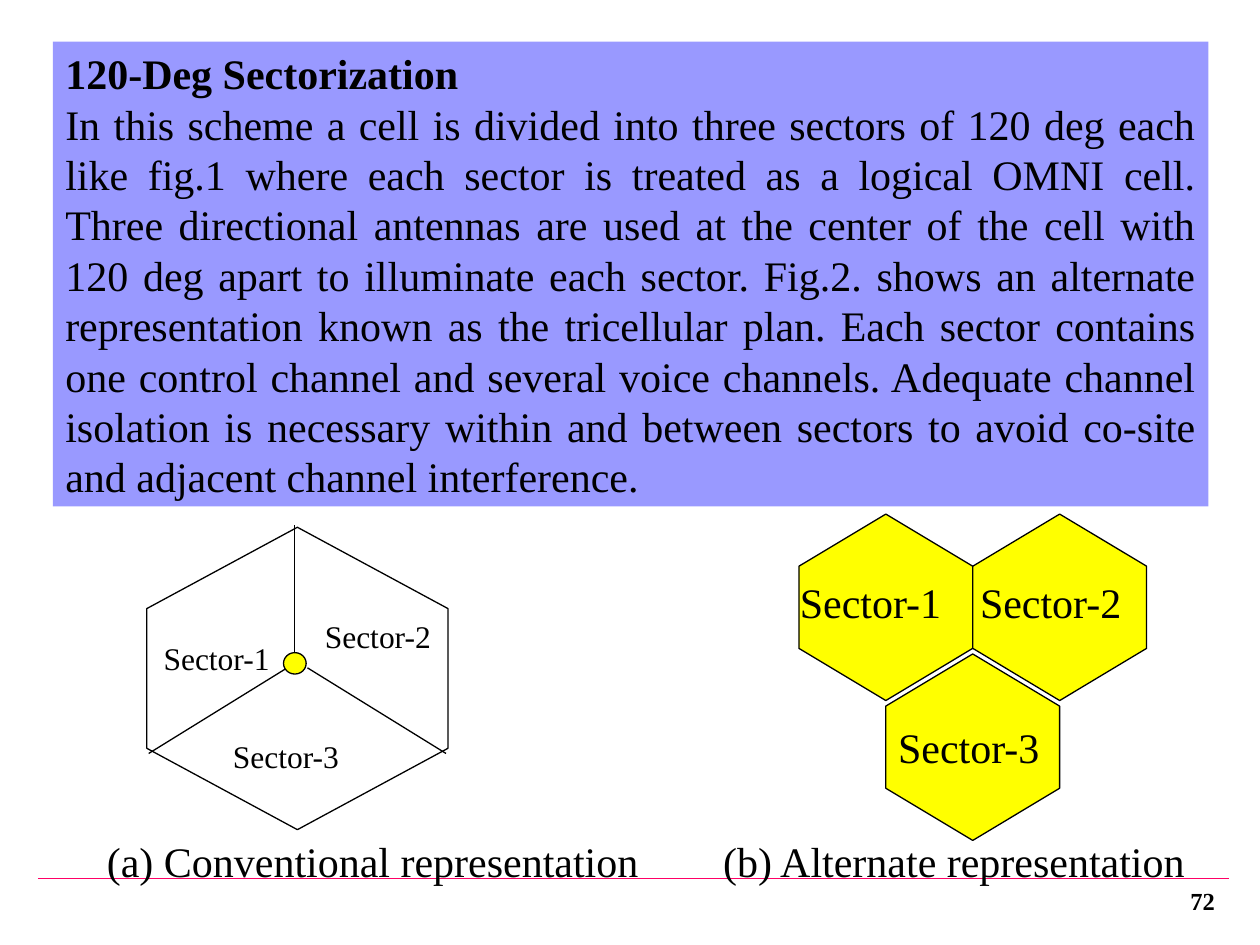
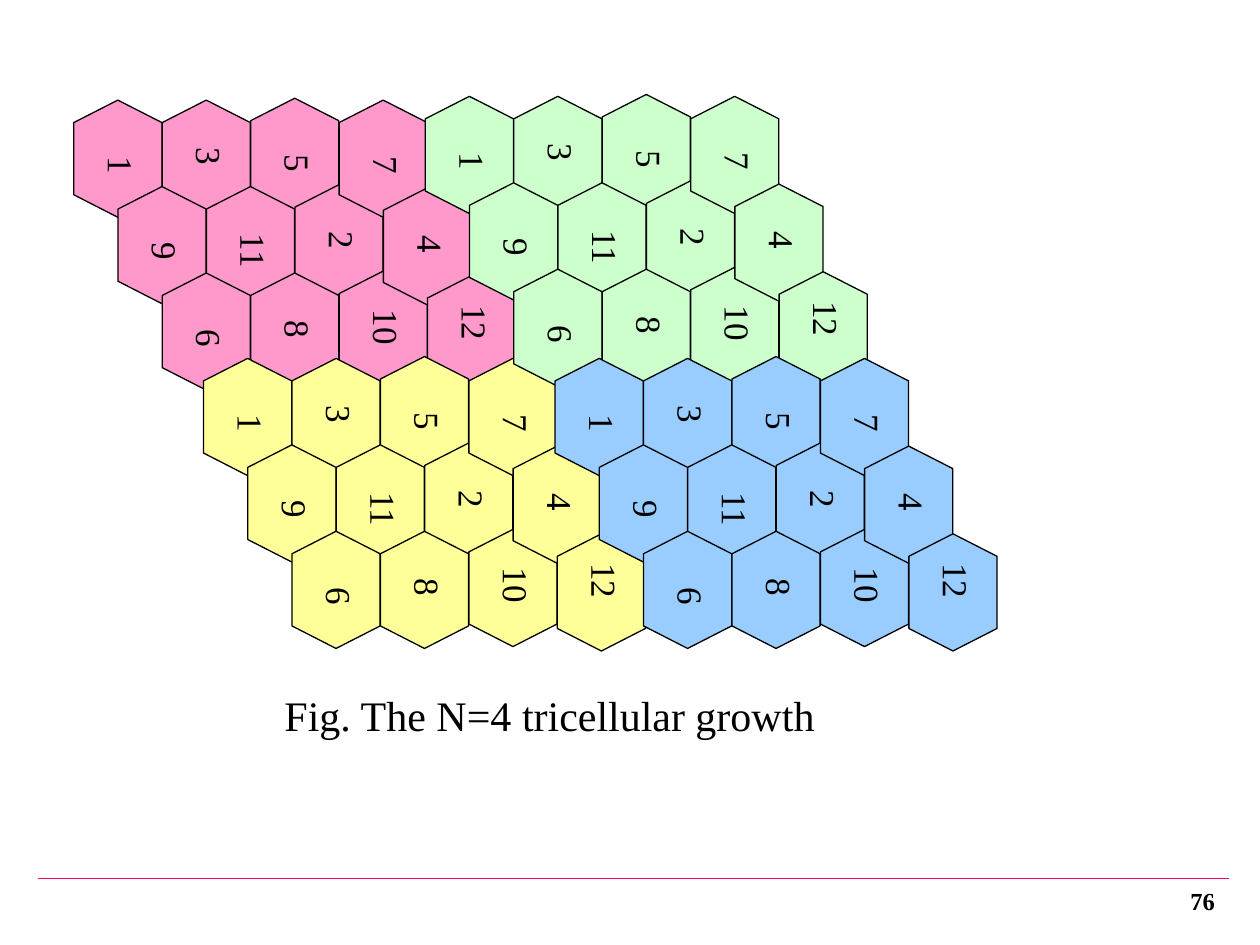
"""Build two slides on 120-degree cell sectorization and tricellular growth."""
from lxml import etree
from pptx import Presentation, util as u
from pptx.dml.color import RGBColor
from pptx.enum import shapes, text
from pptx.oxml.ns import qn

COLOURS = {"ink": "000000", "rule": "FF0066", "panel": "9999FF", "sector": "FFFF00",
           "pink": "FF99CC", "yellow": "FFFF99", "green": "CCFFCC", "blue": "99CCFF"}
FONT = "Times New Roman"
LEFT, RIGHT, JUSTIFY = text.PP_ALIGN.LEFT, text.PP_ALIGN.RIGHT, text.PP_ALIGN.JUSTIFY

deck = Presentation()
deck.slide_width, deck.slide_height = u.Inches(10), u.Inches(7.5)
CELL = deck.slide_width / 100  # the grid has 100 columns and 75 rows


def draw(target, kind, place, fill=None, line=None, turn=0, adjust=None):
    """Add a shape, text box (kind None) or connector (kind "line") in grid units."""
    place = [round(number * CELL) for number in place]
    if kind is None:
        box = target.add_textbox(*place)
        box.text_frame.word_wrap = True
        return box
    if kind == "line":
        box = target.add_connector(shapes.MSO_CONNECTOR.STRAIGHT, *place)
        etree.SubElement(box._element.spPr, qn("a:effectLst"))
    else:
        box = target.add_shape(kind, *place)
        box.shadow.inherit = False
        box.rotation = turn
        if adjust:
            box.adjustments[0] = adjust
        if fill:
            box.fill.solid()
            box.fill.fore_color.rgb = RGBColor.from_string(COLOURS[fill])
        else:
            box.fill.background()
    if line:
        box.line.color.rgb = RGBColor.from_string(COLOURS[line])
        box.line.width = u.Pt(0.75)
    else:
        box.line.fill.background()
    return box


def write(box, words, size, bold=False, align=LEFT, indent=0, tab=None):
    """Fill the first paragraph, or add one when the box already has text."""
    frame = box.text_frame
    para = frame.add_paragraph() if frame.text else frame.paragraphs[0]
    para.text = words
    para.alignment = align
    properties = para._p.get_or_add_pPr()
    if indent:
        properties.set("marL", str(round(indent * CELL)))
        properties.set("indent", "0")
    if tab:
        stops = etree.SubElement(properties, qn("a:tabLst"))
        etree.SubElement(stops, qn("a:tab"), pos=str(round(tab * CELL)), algn="l")
    para.font.name, para.font.size, para.font.bold = FONT, u.Pt(size), bold
    para.font.color.rgb = RGBColor.from_string(COLOURS["ink"])


HEXAGON, OVAL, RECTANGLE = (shapes.MSO_SHAPE.HEXAGON, shapes.MSO_SHAPE.OVAL,
                            shapes.MSO_SHAPE.RECTANGLE)

pages = []
for number in ("72", "76"):
    page = deck.slides.add_slide(deck.slide_layouts[6])
    draw(page.shapes, "line", (3, 69.7, 97.5, 69.7), line="rule")
    footer = draw(page.shapes, None, (88.3, 69.5, 9.1, 4))
    footer.text_frame.vertical_anchor = text.MSO_ANCHOR.MIDDLE
    write(footer, number, 14, bold=True, align=RIGHT)
    pages.append(page)
sectors, growth = pages

panel = draw(sectors.shapes, RECTANGLE, (4.2, 3.3, 91.7, 36.9), fill="panel")
panel.text_frame.vertical_anchor = text.MSO_ANCHOR.TOP
write(panel, "120-Deg Sectorization", 24, bold=True)
write(panel, "In this scheme a cell is divided into three sectors of 120 deg each like fig.1 "
      "where each sector is treated as a logical OMNI cell. Three directional antennas are "
      "used at the center of the cell with 120 deg apart to illuminate each sector. Fig.2. "
      "shows an alternate representation known as the tricellular plan. Each sector contains "
      "one control channel and several voice channels. Adequate channel isolation is "
      "necessary within and between sectors to avoid co-site and adjacent channel "
      "interference.", 24, align=JUSTIFY)

conventional = sectors.shapes.add_group_shape().shapes
for border in ((11.8, 59.8, 22.8, 53), (23.4, 52, 23.4, 41.7), (24.4, 53, 35.4, 59.8)):
    draw(conventional, "line", border, line="ink")
draw(conventional, OVAL, (22.5, 51.8, 1.8, 1.7), fill="sector", line="ink")
draw(conventional, HEXAGON, (11.6, 41.9, 24, 23.9), line="ink", turn=90, adjust=0.27)

alternate = sectors.shapes.add_group_shape().shapes
for left, top in ((62.9, 41.3), (76.7, 41.3), (69.8, 52.4)):
    draw(alternate, HEXAGON, (left, top, 14.8, 13.8), "sector", "ink", 90, 0.3)

for figure, size, width, height, corners in (
        (conventional, 18, 11, 3.4, ((12, 50.2), (24.8, 48.5), (17.5, 58))),
        (alternate, 24, 16.6, 4.9, ((62.5, 45.3), (76.8, 45.3), (70.3, 56.8)))):
    for index, corner in enumerate(corners, 1):
        write(draw(figure, None, (*corner, width, height)), f"Sector-{index}", size)

caption = draw(sectors.shapes, None, (7.5, 65.8, 92.5, 5))
write(caption, "(a) Conventional representation\t(b) Alternate representation", 24, tab=48.9)

CHANNELS = ((1, 3, 5, 7), (9, 11, 2, 4), (6, 8, 10, 12))
INDENTS = ((2.1, 1.4, 2.1, 2.1), (2.1, 1.4, 1.4, 1.4), (2.1, 1.4, 0.7, 0))
CLUSTERS = (("pink", 4.7, 9.1), ("yellow", 15, 29.6), ("green", 32.6, 8.8), ("blue", 42.9, 29.6))
TILE_ORDER = [(row, column) for row in range(3) for column in range(3)]
TILE_ORDER += [(row, 3) for row in range(3)]

plan = growth.shapes.add_group_shape().shapes
for colour, left, top in CLUSTERS:
    for row, column in TILE_ORDER:
        drop = {2: -0.15, 3: 0.1 * row}.get(column, 0)
        place = (left + 7.02 * column + 3.51 * row, top + 6.86 * row + drop, 9.3, 7)
        tile = draw(plan, HEXAGON, place, colour, "ink", 90, 0.255)
        tile.text_frame.vertical_anchor = text.MSO_ANCHOR.TOP
        write(tile, str(CHANNELS[row][column]), 20, indent=INDENTS[row][column])

write(draw(growth.shapes, None, (21.6, 54.2, 46, 5)), "Fig. The N=4 tricellular growth", 24)

deck.save("out.pptx")
